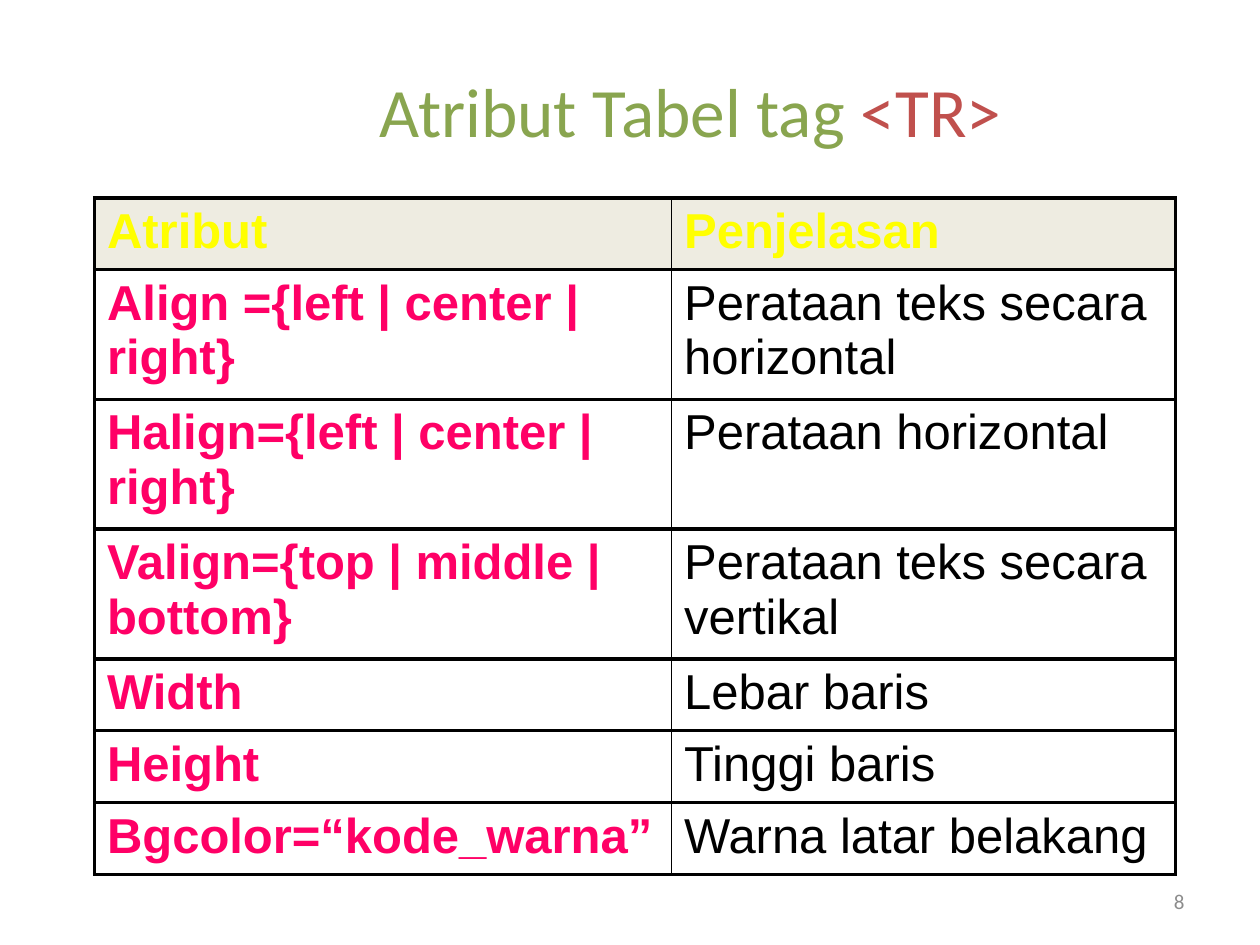
from dataclasses import dataclass

from lxml import etree
from pptx import Presentation
from pptx.dml.color import RGBColor
from pptx.enum.text import MSO_ANCHOR, MSO_AUTO_SIZE, PP_ALIGN
from pptx.oxml.ns import qn
from pptx.util import Emu, Pt

MIDDLE, TOP = MSO_ANCHOR.MIDDLE, MSO_ANCHOR.TOP
LEFT, CENTER, RIGHT = PP_ALIGN.LEFT, PP_ALIGN.CENTER, PP_ALIGN.RIGHT
FIXED = MSO_AUTO_SIZE.NONE
EMU_PER_PX = 9144
TITLE_ONLY = 5


@dataclass(frozen=True)
class Theme:
    heading_font: str = "Calibri"
    table_font: str = "Arial"
    title_size: float = 39.6
    table_size: float = 28
    number_size: float = 12
    title: str = "89A54F"
    tag: str = "C0504D"
    number: str = "8C8C8C"
    header: str = "FFFF00"
    header_fill: str = "EEECE1"
    attribute: str = "FF0066"
    ink: str = "000000"
    outer_line: float = 2.25
    inner_line: float = 1


@dataclass(frozen=True)
class Box:
    left: int
    top: int
    width: int
    height: int

    def emu(self) -> tuple:
        return tuple(px(v) for v in (self.left, self.top, self.width, self.height))


@dataclass(frozen=True)
class Entry:
    attribute: str
    meaning: str
    height: int


THEME = Theme()
TITLE_BOX = Box(142, 58, 812, 58)
NUMBER_BOX = Box(717, 695, 233, 40)
COLUMNS = (458, 400)
TABLE_LEFT, TABLE_TOP = 75, 157
SINGLE, DOUBLE = 57, 103
ENTRIES = (
    Entry("Atribut", "Penjelasan", SINGLE),
    Entry("Align ={left | center | right}", "Perataan teks secara horizontal", DOUBLE),
    Entry("Halign={left | center | right}", "Perataan horizontal", DOUBLE),
    Entry("Valign={top | middle | bottom}", "Perataan teks secara vertikal", DOUBLE),
    Entry("Width", "Lebar baris", SINGLE),
    Entry("Height", "Tinggi baris", SINGLE),
    Entry("Bgcolor=“kode_warna”", "Warna latar belakang", SINGLE),
)


def px(length: int) -> Emu:
    return Emu(length * EMU_PER_PX)


def add_run(paragraph, text: str, font: str, size: float, color: str, bold: bool = False) -> None:
    run = paragraph.add_run()
    run.text = text
    run.font.name = font
    run.font.size = Pt(size)
    run.font.bold = bold
    run.font.color.rgb = RGBColor.from_string(color)


def prepare_frame(frame, alignment):
    frame.word_wrap = True
    frame.auto_size = FIXED
    frame.vertical_anchor = MIDDLE
    paragraph = frame.paragraphs[0]
    paragraph.alignment = alignment
    return paragraph


def draw_title(slide) -> None:
    title = slide.shapes.title
    title.left, title.top, title.width, title.height = TITLE_BOX.emu()
    heading = prepare_frame(title.text_frame, CENTER)
    for text, color in (("Atribut Tabel tag ", THEME.title), ("<TR>", THEME.tag)):
        add_run(heading, text, THEME.heading_font, THEME.title_size, color)


def draw_number(slide) -> None:
    number = slide.shapes.add_textbox(*NUMBER_BOX.emu())
    paragraph = prepare_frame(number.text_frame, RIGHT)
    add_run(paragraph, "8", THEME.heading_font, THEME.number_size, THEME.number)


def set_borders(cell, left: float, right: float) -> None:
    properties = cell._tc.get_or_add_tcPr()
    outer = THEME.outer_line
    edges = (("a:lnL", left), ("a:lnR", right), ("a:lnT", outer), ("a:lnB", outer))
    for position, (edge, width) in enumerate(edges):
        line = etree.Element(qn(edge), w=str(Pt(width)))
        fill = etree.SubElement(line, qn("a:solidFill"))
        etree.SubElement(fill, qn("a:srgbClr"), val=THEME.ink)
        properties.insert(position, line)


def fill_cell(cell, text: str, color: str, bold: bool, is_header: bool) -> None:
    cell.margin_left = cell.margin_right = px(10)
    cell.margin_top = cell.margin_bottom = px(5)
    cell.vertical_anchor = TOP
    if is_header:
        cell.fill.solid()
        cell.fill.fore_color.rgb = RGBColor.from_string(THEME.header_fill)
    else:
        cell.fill.background()
    paragraph = cell.text_frame.paragraphs[0]
    paragraph.alignment = LEFT
    add_run(paragraph, text, THEME.table_font, THEME.table_size, color, bold)


def draw_attributes(slide) -> None:
    area = Box(TABLE_LEFT, TABLE_TOP, sum(COLUMNS), sum(e.height for e in ENTRIES))
    table = slide.shapes.add_table(len(ENTRIES), len(COLUMNS), *area.emu()).table
    table.first_row = table.horz_banding = False
    for column, width in zip(table.columns, COLUMNS):
        column.width = px(width)
    for index, entry in enumerate(ENTRIES):
        is_header = index == 0
        table.rows[index].height = px(entry.height)
        attribute, meaning = table.cell(index, 0), table.cell(index, 1)
        attribute_color = THEME.header if is_header else THEME.attribute
        meaning_color = THEME.header if is_header else THEME.ink
        fill_cell(attribute, entry.attribute, attribute_color, True, is_header)
        fill_cell(meaning, entry.meaning, meaning_color, is_header, is_header)
        set_borders(attribute, THEME.outer_line, THEME.inner_line)
        set_borders(meaning, THEME.inner_line, THEME.outer_line)


def main() -> None:
    deck = Presentation()
    deck.slide_width, deck.slide_height = px(1000), px(750)
    slide = deck.slides.add_slide(deck.slide_layouts[TITLE_ONLY])
    draw_title(slide)
    draw_number(slide)
    draw_attributes(slide)
    deck.save("out.pptx")


if __name__ == "__main__":
    main()
